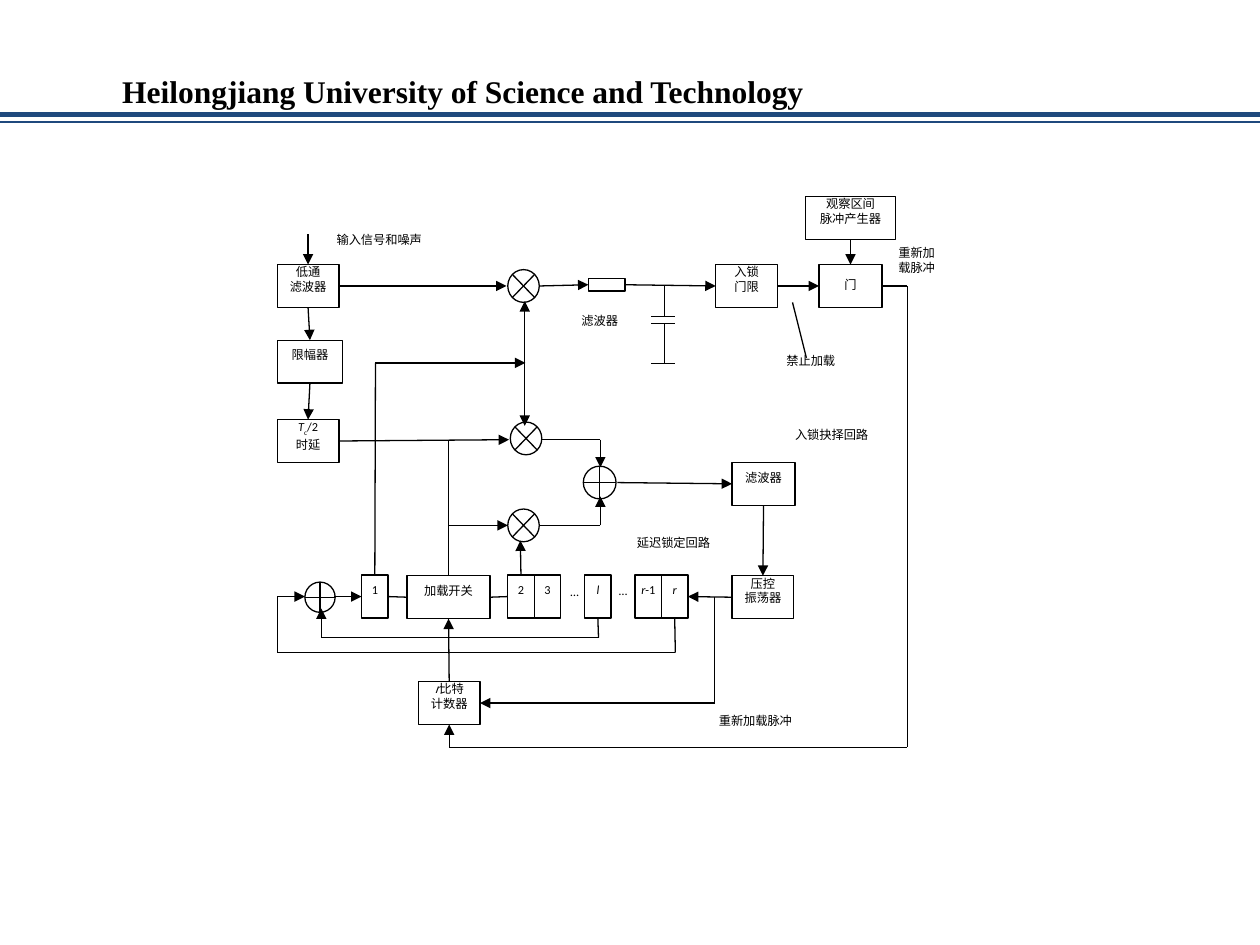
from pptx import Presentation
from pptx.dml.color import RGBColor
from pptx.enum.shapes import MSO_CONNECTOR, MSO_SHAPE
from pptx.enum.text import MSO_ANCHOR, MSO_AUTO_SIZE, PP_ALIGN
from pptx.oxml.ns import qn
from pptx.util import Inches, Pt

BLACK = RGBColor(0x00, 0x00, 0x00)
WHITE = RGBColor(0xFF, 0xFF, 0xFF)
NAVY = RGBColor(0x1F, 0x49, 0x7D)

RECT = MSO_SHAPE.RECTANGLE
MULTIPLIER = MSO_SHAPE.FLOWCHART_SUMMING_JUNCTION
ADDER = MSO_SHAPE.FLOWCHART_OR
STRAIGHT = MSO_CONNECTOR.STRAIGHT
CENTER, LEFT_ALIGN = PP_ALIGN.CENTER, PP_ALIGN.LEFT
ANCHOR_TOP, NO_AUTOFIT = MSO_ANCHOR.TOP, MSO_AUTO_SIZE.NONE

TOP, LEFT, BOTTOM, RIGHT = range(4)  # connection sites of a rectangle
COLS, ROWS = 100, 75                 # slide grid
BOX_H = 3.4                          # height of every block, in rows


class Diagram:
    """Style and current slide; all lengths are grid columns and rows."""
    font, mono_font, title_font = "Calibri", "Noto Sans CJK SC", "Times New Roman"
    size, title_size, weight = 7, 18, 0.75

    def __init__(self, prs):
        self.s = prs.slides.add_slide(prs.slide_layouts[5])
        self.col, self.row = prs.slide_width / COLS, prs.slide_height / ROWS

    def at(self, x, y):
        return round(x * self.col), round(y * self.row)

    def title(self, text, x, y, w, h):
        sp = self.s.shapes.title
        sp.left, sp.top = self.at(x, y)
        sp.width, sp.height = self.at(w, h)
        tf = sp.text_frame
        tf.auto_size, tf.vertical_anchor = NO_AUTOFIT, ANCHOR_TOP
        p = tf.paragraphs[0]
        p.alignment = LEFT_ALIGN
        r = p.add_run()
        r.text = text
        r.font.name, r.font.size = self.title_font, Pt(self.title_size)
        r.font.bold, r.font.color.rgb = True, BLACK

    def fill_text(self, sp, lines, inset=0, font=None):
        """A line is a string or a list of (text, style) runs."""
        tf = sp.text_frame
        tf.word_wrap, tf.vertical_anchor = True, ANCHOR_TOP
        tf.margin_left = tf.margin_right = tf.margin_bottom = 0
        tf.margin_top = Inches(inset)
        for i, line in enumerate(lines):
            p = tf.add_paragraph() if i else tf.paragraphs[0]
            p.alignment = CENTER
            for text, style in [(line, "")] if isinstance(line, str) else line:
                r = p.add_run()
                r.text = text
                r.font.name, r.font.size = font or self.font, Pt(self.size)
                r.font.color.rgb = BLACK
                r.font.italic = style == "italic"
                if style == "sub":
                    r.font._element.set("baseline", "-30000")

    def node(self, kind, x, y, w, h):
        sp = self.s.shapes.add_shape(kind, *self.at(x, y), *self.at(w, h))
        sp.shadow.inherit = False
        sp.fill.solid()
        sp.fill.fore_color.rgb = WHITE
        sp.line.color.rgb, sp.line.width = BLACK, Pt(self.weight)
        return sp

    def box(self, lines, x, y, w=4.9, inset=0, font=None):
        sp = self.node(RECT, x, y, w, BOX_H)
        self.fill_text(sp, lines, inset, font)
        return sp

    def label(self, lines, x, y, w, h):
        self.fill_text(self.s.shapes.add_textbox(*self.at(x, y), *self.at(w, h)), lines)

    def wire(self, start, end, ends="", color=BLACK, weight=None):
        """An end is a grid point or a (box, site) pair; ends lists the arrowheads."""
        points = [(0, 0) if hasattr(e[0], "shape_type") else self.at(*e)
                  for e in (start, end)]
        c = self.s.shapes.add_connector(STRAIGHT, *points[0], *points[1])
        for e, connect in ((start, c.begin_connect), (end, c.end_connect)):
            if hasattr(e[0], "shape_type"):
                connect(*e)
        c.line.color.rgb, c.line.width = color, Pt(weight or self.weight)
        ln = c.line._get_or_add_ln()
        for name in ends.split():
            ln.append(ln.makeelement(qn(f"a:{name}End"), {"type": "triangle"}))
        c._element.spPr.append(ln.makeelement(qn("a:effectLst"), {}))


def main():
    prs = Presentation()
    prs.slide_width, prs.slide_height = Inches(10), Inches(7.5)
    d = Diagram(prs)

    # Header with double rule
    d.title("Heilongjiang University of Science and Technology", 8.7, 5.2, 57, 4)
    for y, weight in ((9.1, 2.75), (9.7, 1.5)):
        d.wire((0, y), (COLS, y), color=NAVY, weight=weight)

    # Blocks
    lowpass = d.box(["低通", "滤波器"], 22, 21)
    limiter = d.box(["限幅器"], 22, 27, 5.2, 0.06)
    delay = d.box([[("T", "italic"), ("c", "sub"), ("/2", "")], "时延"], 22, 33.3)
    counter = d.box([[("r", "italic"), ("比特", "")], "计数器"], 33.2, 54.1,
                    font=d.mono_font)
    threshold = d.box(["入锁", "门限"], 56.8, 21)
    loop_filter = d.box(["滤波器"], 58.1, 36.7, 5, 0.06)
    observer = d.box(["观察区间", "脉冲产生器"], 63.9, 15.6, 7.2)
    gate = d.box(["门"], 65, 21, 5, 0.1)
    vco = d.box(["压控", "振荡器"], 58.1, 45.7)
    switch = d.box(["加载开关"], 32.3, 45.7, 6.6, 0.06)
    resistor = d.node(RECT, 46.7, 22.1, 2.9, 1)

    # Shift register
    cells = [([("1", "")], 28.7), ([("2", "")], 40.3), ([("3", "")], 42.4),
             ([("l", "italic")], 46.4), ([("r", "italic"), ("-1", "")], 50.4),
             ([("r", "italic")], 52.5)]
    cell_1, cell_2, _, cell_l, _, cell_r = [
        d.box([runs], x, 45.65, 2.1, 0.06) for runs, x in cells]

    # Multipliers and adders
    for x, y in ((40.3, 21.4), (40.5, 33.5), (40.3, 40.4)):
        d.node(MULTIPLIER, x, y, 2.5, 2.6)
    d.node(ADDER, 46.3, 37, 2.6, 2.6)
    d.node(ADDER, 24.2, 46.2, 2.4, 2.4)

    # Wires with an arrowhead at the end
    for start, end in [
        ((24.45, 18.6), (lowpass, TOP)),
        ((lowpass, BOTTOM), (limiter, TOP)),
        ((limiter, BOTTOM), (delay, TOP)),
        ((lowpass, RIGHT), (40.2, 22.7)),
        ((42.8, 22.7), (resistor, LEFT)),
        ((resistor, RIGHT), (threshold, LEFT)),
        ((threshold, RIGHT), (gate, LEFT)),
        ((observer, BOTTOM), (gate, TOP)),
        ((delay, RIGHT), (40.4, 34.9)),
        ((35.6, 41.7), (40.3, 41.7)),
        ((29.8, 28.8), (41.7, 28.8)),
        ((47.65, 34.9), (47.65, 37.1)),
        ((47.65, 41.7), (47.65, 39.4)),
        ((49, 38.3), (loop_filter, LEFT)),
        ((loop_filter, BOTTOM), (vco, TOP)),
        ((vco, LEFT), (cell_r, RIGHT)),
        ((cell_2, TOP), (41.3, 42.9)),
        ((26.5, 47.35), (cell_1, LEFT)),
        ((22, 47.35), (24.2, 47.35)),
        ((25.5, 50.6), (25.5, 48.3)),
        ((counter, TOP), (switch, BOTTOM)),
        ((56.7, 55.8), (counter, RIGHT)),
        ((35.65, 59.3), (counter, BOTTOM)),
    ]:
        d.wire(start, end, "tail")
    d.wire((41.65, 23.9), (41.65, 33.8), "head tail")

    # Plain wires
    for start, end in [
        ((43, 34.9), (47.65, 34.9)),
        ((42.8, 41.7), (47.65, 41.7)),
        ((35.6, 34.9), (switch, TOP)),
        ((cell_1, TOP), (29.8, 28.8)),
        ((cell_1, RIGHT), (switch, LEFT)),
        ((switch, RIGHT), (cell_2, LEFT)),
        ((cell_l, BOTTOM), (47.5, 50.6)),
        ((25.5, 50.6), (47.5, 50.6)),
        ((cell_r, BOTTOM), (53.6, 51.8)),
        ((22, 51.8), (53.6, 51.8)),
        ((22, 47.35), (22, 51.8)),
        ((56.7, 47.4), (56.7, 55.9)),
        ((gate, RIGHT), (72, 22.7)),
        ((72, 22.7), (72, 59.3)),
        ((35.65, 59.3), (72, 59.3)),
        ((62.9, 24), (64, 28.4)),
    ]:
        d.wire(start, end)

    # Capacitor to ground
    for y in (25.1, 25.7, 28.85):
        d.wire((51.7, y), (53.6, y))
    for top, bottom in ((22.7, 25.1), (25.7, 28.85)):
        d.wire((52.75, top), (52.75, bottom))

    # Labels
    for lines, *place in [
        (["输入信号和噪声"], 25.4, 18.4, 9.4, 2.1),
        (["滤波器"], 44.6, 24.9, 6, 2.6),
        (["禁止加载"], 61, 28, 6.7, 2.5),
        (["重新加", "载脉冲"], 70.4, 19.5, 4.7, 3),
        (["延迟锁定回路"], 48.7, 42.5, 9.5, 2),
        (["入锁抉择回路"], 61, 33.9, 10, 2.5),
        (["…"], 44.8, 46.4, 1.6, 2.1),
        (["…"], 48.9, 46.3, 1.1, 2.8),
        (["重新加载脉冲"], 54.5, 56.6, 10.9, 2.1),
    ]:
        d.label(lines, *place)

    prs.save("out.pptx")


if __name__ == "__main__":
    main()
